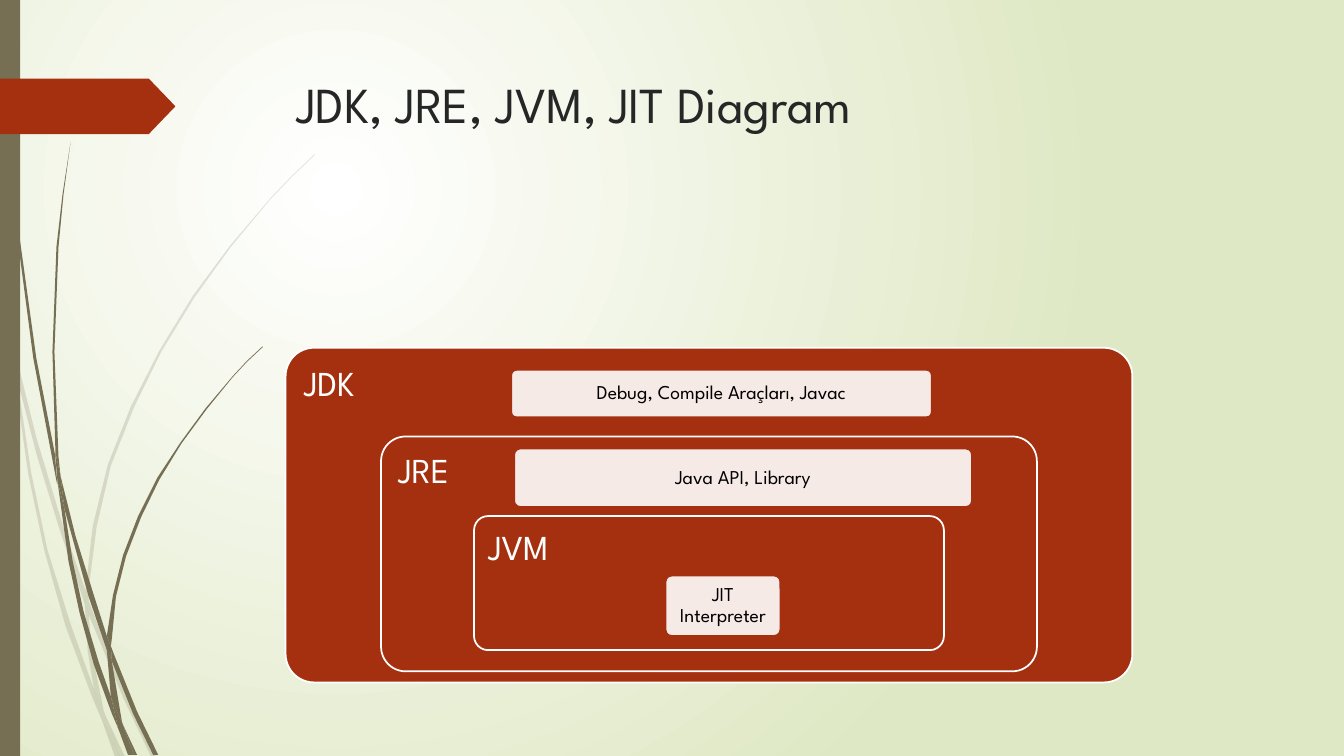
from lxml import etree
from pptx import Presentation
from pptx.dml.color import RGBColor
from pptx.enum.shapes import MSO_SHAPE
from pptx.enum.text import MSO_ANCHOR, MSO_AUTO_SIZE, PP_ALIGN
from pptx.oxml.ns import qn
from pptx.util import Inches, Pt

# Content
TITLE = "JDK, JRE, JVM, JIT Diagram"
FONT = "League Spartan"
COLORS = {"rust": "A53010", "olive": "766F54", "white": "FFFFFF",
          "sage": "DFE8C4", "ink": "262626", "black": "000000"}

# Diagram boxes, back to front, in percent of the slide:
# text, kind, centre x, top, width, height, corner radius
BOXES = [
    ("JDK", "container", 52.75, 46, 63, 44.27, 0.085),
    ("Debug, Compile Araçları, Javac", "part", 53.68, 48.93, 31.28, 6.27, 0.105),
    ("JRE", "container", 52.75, 57.73, 48.8, 31.07, 0.105),
    ("Java API, Library", "part", 55.29, 59.33, 34.06, 7.73, 0.105),
    ("JVM", "container", 52.75, 68.27, 34.96, 17.73, 0.105),
    ("JIT Interpreter", "part", 53.79, 76.13, 8.55, 8, 0.105),
]
# fill, opacity, line, text colour, text size, inset, alignment, anchor
BOX_STYLES = {
    "container": ("rust", 100, "white", "white", 25, 0.1, PP_ALIGN.LEFT, MSO_ANCHOR.TOP),
    "part": ("white", 90, "rust", "black", 14, 0.06, PP_ALIGN.CENTER, MSO_ANCHOR.MIDDLE),
}

# Grass blades: outline points in inches
PALE_BLADES = [
    [(0.11, 3.5), (0.09, 3.22), (0, 2.82), (0, 2.99), (0.1, 3.44)],
    [(0.58, 5.22), (0.84, 5.99), (0.85, 5.86), (0.62, 5.2), (0.36, 4.34),
     (0.14, 3.45), (0.17, 3.76), (0.36, 4.5)],
    [(0.92, 6.07), (0.88, 5.96), (0.88, 6.1), (1.23, 6.94), (1.5, 7.51),
     (1.55, 7.51), (1.27, 6.92)],
    [(1.19, 7.51), (1.24, 7.51), (1.05, 7.11)],
    [(0.93, 6.83), (0.7, 6.19), (0.47, 5.45), (0.31, 4.69), (0.17, 3.76),
     (0.11, 3.5), (0.28, 4.7), (0.44, 5.46), (0.65, 6.21), (0.92, 6.93),
     (1.01, 7.14), (0.99, 7.07)],
    [(0.84, 5.99), (0.87, 6.46), (0.93, 6.83), (0.96, 6.92), (1.05, 7.11),
     (1.03, 7.06), (0.91, 6.46), (0.88, 6.1), (0.88, 6.08)],
    [(0.88, 5.84), (0.96, 5.22), (1.1, 4.62), (1.33, 4.04), (1.6, 3.49),
     (1.93, 2.95), (2.29, 2.45), (2.68, 1.98), (2.9, 1.75), (3.12, 1.54),
     (3.12, 1.53), (2.89, 1.75), (2.68, 1.97), (2.28, 2.44), (1.91, 2.94),
     (1.58, 3.48), (1.3, 4.03), (1.07, 4.61), (0.92, 5.22), (0.85, 5.84),
     (0.85, 5.86), (0.88, 5.96)],
    [(1.01, 7.14), (1.14, 7.51), (1.19, 7.51)],
    [(0.88, 6.08), (0.88, 6.1), (0.88, 5.96), (0.85, 5.86), (0.84, 5.99)],
    [(0.96, 6.92), (0.93, 6.83), (0.99, 7.07), (1.01, 7.14), (1.19, 7.51),
     (1.05, 7.11)],
]
DARK_BLADES = [
    [(0.07, 1.1), (0.17, 2.33), (0.33, 3.55), (0.56, 4.77), (0.57, 4.81),
     (0.55, 4.57), (0.55, 4.53), (0.36, 3.55), (0.19, 2.32), (0.08, 1.09),
     (0.05, 0.48), (0.04, 0), (0.03, 0), (0.04, 0.48)],
    [(0.88, 5.92), (1.06, 6.45), (1.06, 6.33), (1.06, 6.31), (0.93, 5.9),
     (0.75, 5.32), (0.6, 4.72), (0.64, 5.05)],
    [(1.13, 6.49), (1.1, 6.41), (1.11, 6.56), (1.32, 7.08), (1.52, 7.49),
     (1.57, 7.49), (1.36, 7.06)],
    [(1.1, 6.91), (0.98, 6.57), (0.83, 6.07), (0.72, 5.56), (0.64, 5.05),
     (0.57, 4.77), (0.68, 5.57), (0.79, 6.08), (0.93, 6.59), (1.11, 7.08),
     (1.17, 7.22), (1.16, 7.17)],
    [(0.6, 4.72), (0.58, 4.53), (0.54, 3.49), (0.58, 2.45), (0.63, 1.93),
     (0.7, 1.41), (0.62, 1.93), (0.56, 2.45), (0.52, 3.49), (0.55, 4.49)],
    [(1.33, 7.49), (1.36, 7.49), (1.22, 7.19)],
    [(0.57, 4.77), (0.64, 5.05), (0.6, 4.72), (0.55, 4.49), (0.55, 4.53)],
    [(1.11, 6.33), (1.15, 5.92), (1.25, 5.52), (1.4, 5.13), (1.58, 4.76),
     (1.8, 4.4), (2.05, 4.06), (2.31, 3.74), (2.45, 3.59), (2.61, 3.44),
     (2.6, 3.44), (2.45, 3.58), (2.31, 3.73), (2.04, 4.05), (1.79, 4.39),
     (1.56, 4.74), (1.37, 5.12), (1.22, 5.51), (1.12, 5.91), (1.06, 6.31),
     (1.1, 6.41)],
    [(1.17, 7.22), (1.27, 7.49), (1.31, 7.49)],
    [(1.06, 6.45), (1.1, 6.91), (1.16, 7.06), (1.22, 7.19), (1.21, 7.16),
     (1.11, 6.56), (1.09, 6.51)],
    [(1.06, 6.45), (1.09, 6.51), (1.11, 6.56), (1.1, 6.41), (1.06, 6.31),
     (1.06, 6.33)],
    [(1.16, 7.06), (1.1, 6.91), (1.16, 7.17), (1.17, 7.22), (1.3, 7.49),
     (1.33, 7.49), (1.22, 7.19)],
]


def color(name):
    return RGBColor.from_string(COLORS[name])


def paint(shape, fill, opacity=100, line=None):
    shape.shadow.inherit = False
    shape.fill.solid()
    shape.fill.fore_color.rgb = color(fill)
    if opacity < 100:
        fill_color = shape._element.spPr.find(qn("a:solidFill"))[0]
        etree.SubElement(fill_color, qn("a:alpha"), val=str(opacity * 1000))
    if line:
        shape.line.color.rgb = color(line)
        shape.line.width = Pt(1.25)
    else:
        shape.line.fill.background()


def write(frame, text, size, text_color, alignment, anchor):
    frame.word_wrap = True
    frame.auto_size = MSO_AUTO_SIZE.NONE
    frame.vertical_anchor = anchor
    paragraph = frame.paragraphs[0]
    paragraph.alignment = alignment
    run = paragraph.add_run()
    run.text = text
    run.font.name = FONT
    run.font.size = Pt(size)
    run.font.color.rgb = color(text_color)
    return paragraph


def add_background(slide):
    fill = slide.background.fill
    fill.gradient()
    for stop, name in zip(fill.gradient_stops, ("white", "sage")):
        stop.color.rgb = color(name)
    gradient = next(slide._element.iter(qn("a:gradFill")))
    gradient.remove(gradient.find(qn("a:lin")))
    circle = etree.SubElement(gradient, qn("a:path"), path="circle")
    etree.SubElement(circle, qn("a:fillToRect"),
                     l="50000", t="50000", r="100000", b="100000")


def add_blades(slide, blades, opacity):
    for blade in blades:
        points = [(Inches(x), Inches(y)) for x, y in blade]
        builder = slide.shapes.build_freeform(*points[0])
        builder.add_line_segments(points[1:], close=True)
        paint(builder.convert_to_shape(), "olive", opacity)


def add_box(slide, width, height, box):
    text, kind, center, top, box_width, box_height, radius = box
    fill, opacity, line, text_color, size, inset, alignment, anchor = BOX_STYLES[kind]
    shape = slide.shapes.add_shape(
        MSO_SHAPE.ROUNDED_RECTANGLE,
        int(width * (center - box_width / 2) / 100), int(height * top / 100),
        int(width * box_width / 100), int(height * box_height / 100))
    shape.adjustments[0] = radius
    paint(shape, fill, opacity, line)
    frame = shape.text_frame
    frame.margin_left = frame.margin_right = Inches(inset)
    frame.margin_top = frame.margin_bottom = Inches(inset)
    write(frame, text, size, text_color, alignment, anchor).line_spacing = 0.9


def main():
    presentation = Presentation()
    presentation.slide_width = width = Inches(13.33)
    presentation.slide_height = height = Inches(7.5)
    slide = presentation.slides.add_slide(presentation.slide_layouts[5])
    add_background(slide)

    # Left decoration
    add_blades(slide, PALE_BLADES, 20)
    add_blades(slide, DARK_BLADES, 100)
    paint(slide.shapes.add_shape(MSO_SHAPE.RECTANGLE, 0, 0, Inches(0.2), height), "olive")
    ribbon = slide.shapes.add_shape(
        MSO_SHAPE.PENTAGON, 0, Inches(0.78), Inches(1.74), Inches(0.55))
    ribbon.adjustments[0] = 0.48
    paint(ribbon, "rust")

    # Title
    title = slide.shapes.title
    title.left, title.top = Inches(2.84), Inches(0.68)
    title.width, title.height = Inches(9.75), Inches(1.4)
    write(title.text_frame, TITLE, 36, "ink", PP_ALIGN.LEFT, MSO_ANCHOR.TOP)

    # Nested diagram
    for box in BOXES:
        add_box(slide, width, height, box)

    presentation.save("out.pptx")


if __name__ == "__main__":
    main()
